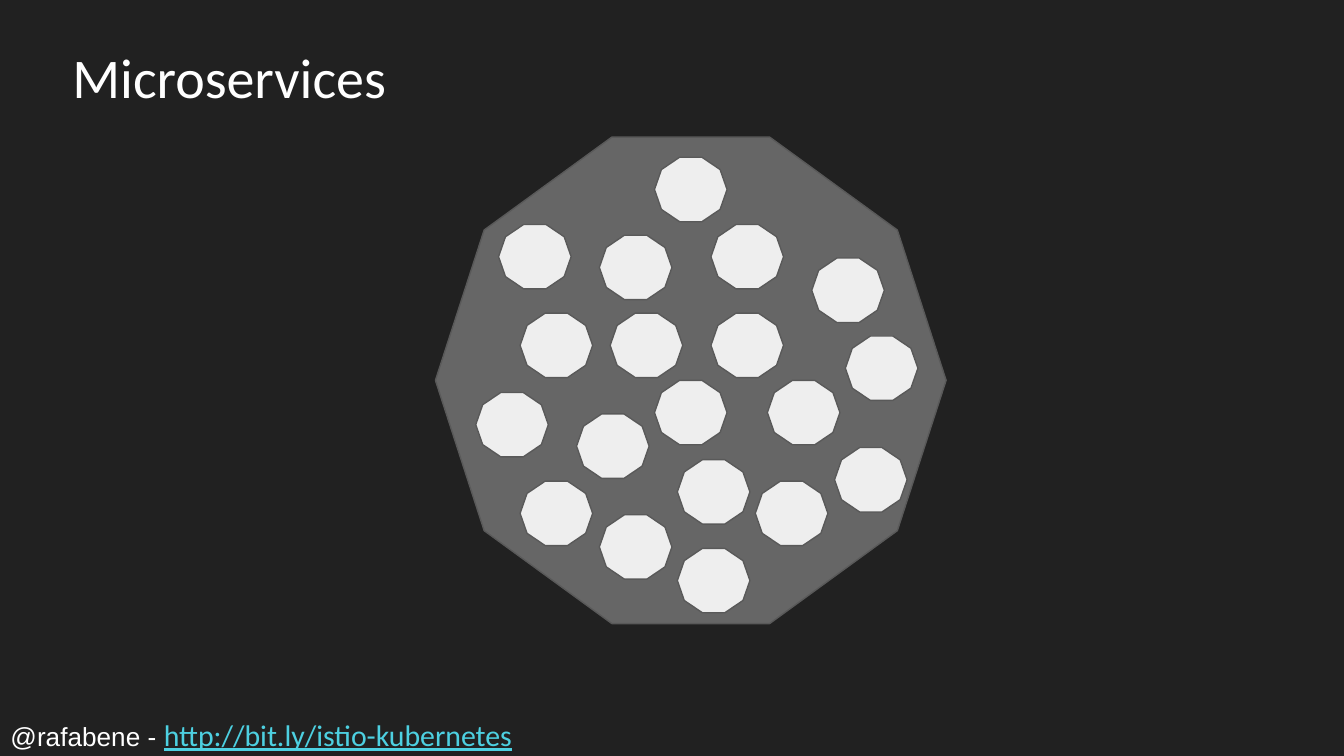
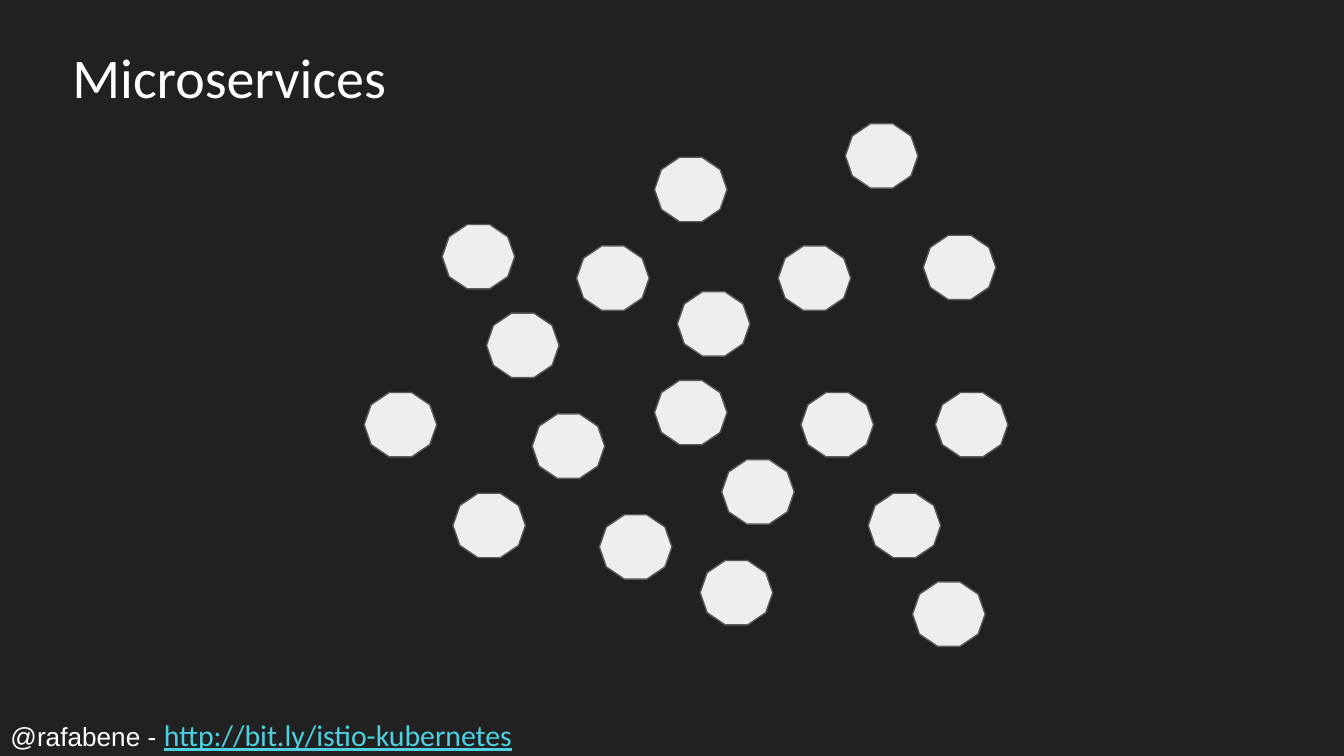
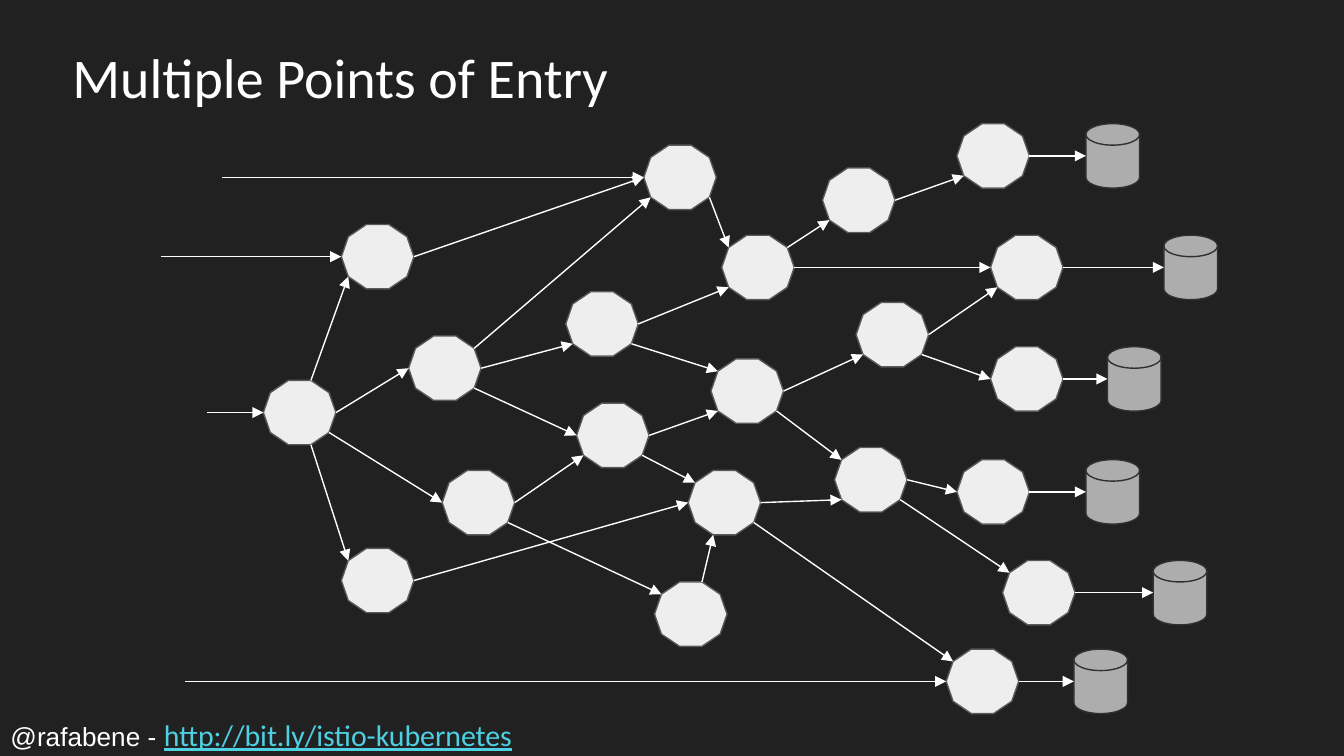
from math import cos, pi, sin

from lxml.etree import SubElement
from pptx import Presentation
from pptx.dml.color import RGBColor as RGB
from pptx.enum.shapes import MSO_CONNECTOR as CONNECTOR, MSO_SHAPE as SHAPE
from pptx.enum.text import MSO_ANCHOR as ANCHOR
from pptx.oxml.ns import qn
from pptx.util import Inches, Pt

COLORS = {
    "background": "212121",
    "text": "FFFFFF",
    "link": "4DD0E1",
    "service": "EEEEEE",
    "monolith": "666666",
    "service_line": "595959",
    "store": "ADADAD",
    "store_line": "303030",
}
TITLE_FONT, HANDLE_FONT = "Calibri", "Arial"
LINE_WIDTH = 0.75
SERVICE_W, SERVICE_H, STORE_W = 0.54, 0.48, 0.4
VERTICAL_FACTOR = 1.05
CORNERS = ["E", "NE", "NNE", "NNW", "NW", "W", "SW", "SSW", "SSE", "SE"]

MONOLITH = (3.24, 1.02, 3.8, 3.62)
PACKED = [
    (3.71, 1.67), (3.87, 2.33), (4.46, 1.75), (4.54, 2.33), (4.87, 1.17), (5.29, 1.67),
    (5.29, 2.33), (6.04, 1.92), (5.71, 2.83), (4.87, 2.83), (5.62, 3.58), (3.54, 2.92),
    (6.29, 2.5), (4.29, 3.08), (3.87, 3.58), (4.46, 3.83), (5.04, 4.08), (6.21, 3.33),
    (5.04, 3.42),
]
SPREAD = [
    (3.29, 1.67), (3.62, 2.33), (4.29, 1.83), (5.04, 2.17), (4.87, 1.17), (6.29, 0.92),
    (5.79, 1.83), (6.87, 1.75), (5.96, 2.92), (4.87, 2.83), (6.46, 3.67), (2.71, 2.92),
    (6.96, 2.92), (3.96, 3.08), (3.37, 3.67), (4.46, 3.83), (5.21, 4.17), (6.79, 4.33),
    (5.37, 3.42),
]
MESH = {
    "A1": (1.96, 2.83),
    "B1": (2.54, 1.67), "B2": (3.04, 2.5), "B3": (3.29, 3.5), "B4": (2.54, 4.08),
    "C1": (4.79, 1.08), "C2": (4.21, 2.17), "C3": (4.29, 3), "C4": (4.87, 4.33),
    "D1": (5.37, 1.75), "D2": (5.29, 2.67), "D3": (5.12, 3.5),
    "E1": (6.12, 1.25), "E2": (6.37, 2.25), "E3": (6.21, 3.33),
    "F1": (7.12, 0.92), "F2": (7.37, 1.75), "F3": (7.37, 2.58),
    "F4": (7.12, 3.42), "F5": (7.46, 4.17), "F6": (7.04, 4.83),
}
CALLS = [
    ("A1", "NNE", "B1", "SW"), ("A1", "E", "B2", "W"), ("A1", "SE", "B3", "W"),
    ("A1", "SSE", "B4", "NW"), ("B1", "E", "C1", "W"), ("B2", "NE", "C1", "SW"),
    ("B2", "E", "C2", "SW"), ("B2", "SE", "C3", "W"), ("B3", "E", "C3", "SW"),
    ("B3", "SE", "C4", "NW"), ("B4", "E", "D3", "W"), ("C1", "SE", "D1", "NW"),
    ("C2", "E", "D1", "SW"), ("C2", "SE", "D2", "NW"), ("C3", "E", "D2", "SW"),
    ("C3", "SE", "D3", "NW"), ("C4", "NNE", "D3", "SSW"), ("D1", "NE", "E1", "SW"),
    ("D1", "E", "F2", "W"), ("D2", "E", "E2", "SW"), ("D2", "SE", "E3", "NW"),
    ("D3", "E", "E3", "SW"), ("D3", "SE", "F6", "NW"), ("E1", "E", "F1", "SW"),
    ("E2", "E", "F2", "SW"), ("E2", "SE", "F3", "W"), ("E3", "E", "F4", "W"),
    ("E3", "SE", "F5", "NW"),
]
ENTRIES = {"A1": 1.54, "B1": 1.2, "C1": 1.65, "F6": 1.38}
STORES = {"F1": 8.08, "F2": 8.66, "F3": 8.24, "F4": 8.08, "F5": 8.58, "F6": 7.99}


def color(name):
    """Return the named colour."""
    return RGB.from_string(COLORS[name])


def add_text_frame(s, x, y, w, h):
    """Add a wrapping text box with even insets and return its frame."""
    tf = s.shapes.add_textbox(Inches(x), Inches(y), Inches(w), Inches(h)).text_frame
    tf.word_wrap = True
    tf.margin_left = tf.margin_right = tf.margin_top = tf.margin_bottom = Inches(0.1)
    return tf


def set_font(font, name, size, color_name):
    """Set the face, size and colour of a font."""
    font.name, font.size = name, Pt(size)
    font.color.rgb = color(color_name)


def add_title(s, text):
    """Add the slide title."""
    tf = add_text_frame(s, 0.44, 0.05, 8.62, 1.09)
    tf.vertical_anchor = ANCHOR.MIDDLE
    p = tf.paragraphs[0]
    p.text, p.line_spacing = text, 0.9
    set_font(p.font, TITLE_FONT, 30, "text")


def add_footer(s):
    """Add the speaker handle and the web address."""
    p = add_text_frame(s, -0.02, 5.23, 4.66, 0.4).paragraphs[0]
    r = p.add_run()
    r.text = "@rafabene - "
    set_font(r.font, HANDLE_FONT, 14, "text")
    r = p.add_run()
    r.text = "http://bit.ly/istio-kubernetes"
    set_font(r.font, TITLE_FONT, 16, "link")
    r.font.underline = True


def add_shape(s, kind, x, y, w, h, fill, line):
    """Add a filled and outlined preset shape."""
    sp = s.shapes.add_shape(kind, Inches(x), Inches(y), Inches(w), Inches(h))
    sp.shadow.inherit = False
    sp.fill.solid()
    sp.fill.fore_color.rgb = color(fill)
    sp.line.color.rgb = color(line)
    sp.line.width = Pt(LINE_WIDTH)


def add_services(s, places):
    """Add one decagon for each service."""
    for x, y in places:
        add_shape(s, SHAPE.DECAGON, x, y, SERVICE_W, SERVICE_H, "service", "service_line")


def add_arrow(s, start, end):
    """Add a straight arrow between two points."""
    points = [Inches(v) for v in (*start, *end)]
    cxn = s.shapes.add_connector(CONNECTOR.STRAIGHT, *points)
    cxn.line.color.rgb = color("text")
    cxn.line.width = Pt(LINE_WIDTH)
    SubElement(cxn.line._get_or_add_ln(), qn("a:tailEnd"), type="triangle")
    SubElement(cxn._element.spPr, qn("a:effectLst"))


def corner(service, name):
    """Return the point at a named corner of a service."""
    x, y = MESH[service]
    angle = CORNERS.index(name) * pi / 5
    return (x + SERVICE_W / 2 * (1 + cos(angle)),
            y + SERVICE_H / 2 * (1 - VERTICAL_FACTOR * sin(angle)))


def add_mesh(s):
    """Add the services, their calls, the entry points and the data stores."""
    add_services(s, MESH.values())
    for source, leave, target, enter in CALLS:
        add_arrow(s, corner(source, leave), corner(target, enter))
    for service, x in ENTRIES.items():
        end = corner(service, "W")
        add_arrow(s, (x, end[1]), end)
    for service, x in STORES.items():
        add_shape(s, SHAPE.FLOWCHART_MAGNETIC_DISK, x, MESH[service][1],
                  STORE_W, SERVICE_H, "store", "store_line")
        start = corner(service, "E")
        add_arrow(s, start, (x, start[1]))


def add_slide(prs, title):
    """Add a blank slide with the title and footer."""
    s = prs.slides.add_slide(prs.slide_layouts[6])
    add_title(s, title)
    add_footer(s)
    return s


def main():
    """Build and save the deck."""
    prs = Presentation()
    prs.slide_width, prs.slide_height = Inches(10), Inches(5.625)
    fill = prs.slide_master.background.fill
    fill.solid()
    fill.fore_color.rgb = color("background")

    s = add_slide(prs, "Microservices")
    add_shape(s, SHAPE.DECAGON, *MONOLITH, "monolith", "service_line")
    add_services(s, PACKED)

    add_services(add_slide(prs, "Microservices"), SPREAD)

    add_mesh(add_slide(prs, "Multiple Points of Entry"))
    prs.save("out.pptx")


if __name__ == "__main__":
    main()
